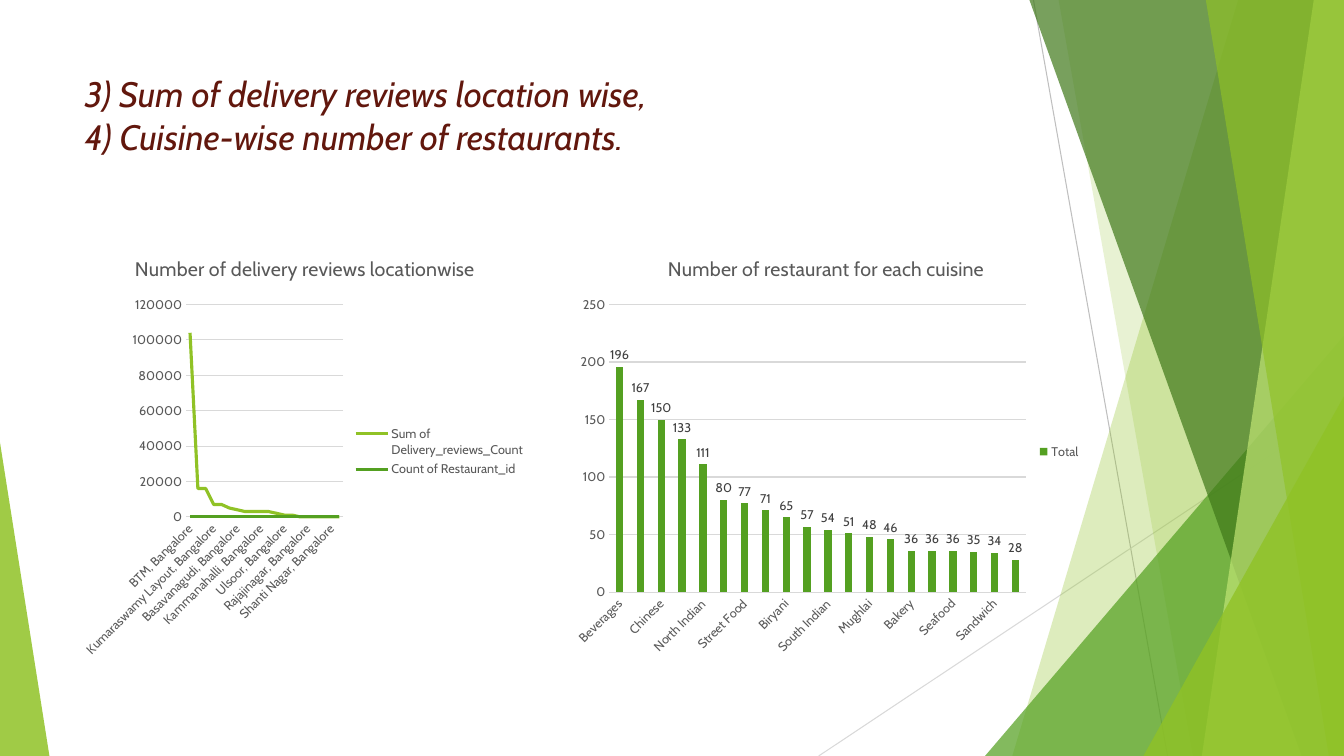
from dataclasses import dataclass

from lxml import etree
from pptx import Presentation
from pptx.chart.data import CategoryChartData
from pptx.dml.color import RGBColor
from pptx.enum.chart import XL_CHART_TYPE, XL_LABEL_POSITION, XL_LEGEND_POSITION, XL_TICK_MARK
from pptx.enum.shapes import MSO_CONNECTOR, MSO_SHAPE
from pptx.enum.text import MSO_ANCHOR, MSO_AUTO_SIZE, PP_ALIGN
from pptx.oxml import parse_xml
from pptx.oxml.ns import nsdecls, qn
from pptx.util import Inches, Pt

COLUMN, LINE = XL_CHART_TYPE.COLUMN_CLUSTERED, XL_CHART_TYPE.LINE
LABEL_ABOVE = XL_LABEL_POSITION.OUTSIDE_END
LEGEND_RIGHT = XL_LEGEND_POSITION.RIGHT
NO_TICKS = XL_TICK_MARK.NONE
STRAIGHT = MSO_CONNECTOR.STRAIGHT
TRIANGLE = MSO_SHAPE.ISOSCELES_TRIANGLE
TITLE_ONLY = 5


@dataclass(frozen=True)
class Theme:
    font: str = "Cabin"
    title: str = "62170D"
    text: str = "595959"
    label: str = "404040"
    grid: str = "D9D9D9"
    ray: str = "BFBFBF"
    lime: str = "90C226"
    green: str = "54A021"
    dark: str = "3F7819"
    pale: str = "C0E474"
    title_size: float = 25.2
    chart_title_size: float = 14
    chart_size: float = 9


THEME = Theme()
WIDTH, HEIGHT = 13.33, 7.5


def style_font(font, size, color):
    font.name = THEME.font
    font.size = Pt(size)
    font.bold = False
    font.color.rgb = RGBColor.from_string(color)


def paint(shape, color, opacity):
    """Give a shape a see-through fill without outline or shadow."""
    shape.shadow.inherit = False
    shape.line.fill.background()
    shape.fill.solid()
    shape.fill.fore_color.rgb = RGBColor.from_string(color)
    srgb = shape._element.spPr.find(".//" + qn("a:srgbClr"))
    etree.SubElement(srgb, qn("a:alpha")).set("val", str(opacity * 1000))


presentation = Presentation()
presentation.slide_width = Inches(WIDTH)
presentation.slide_height = Inches(HEIGHT)
slide = presentation.slides.add_slide(presentation.slide_layouts[TITLE_ONLY])
shapes = slide.shapes

# Thin rays behind the facets
rays = [(10.25, 0, 11.58, HEIGHT, THEME.ray), (WIDTH, 4.03, 8.12, HEIGHT, THEME.grid)]
for x1, y1, x2, y2, color in rays:
    ray = shapes.add_connector(STRAIGHT, Inches(x1), Inches(y1), Inches(x2), Inches(y2))
    ray.line.color.rgb = RGBColor.from_string(color)
    ray.line.width = Pt(0.75)
    etree.SubElement(ray._element.spPr, qn("a:effectLst"))

# Facets, back to front. A band has its left edge at top and bottom and runs to
# the right side; a triangle has left, top, width and peak, and stands on the bottom.
facets = [
    ("band", (12.28, 10.04), THEME.lime, 30),
    ("band", (10.5, 11.83), THEME.lime, 20),
    ("triangle", (9.77, 3.33, 3.56, 1), THEME.green, 72),
    ("band", (10.21, 12.91), THEME.dark, 70),
    ("band", (13.03, 11.92), THEME.pale, 70),
    ("band", (11.96, 13.18), THEME.lime, 65),
    ("triangle", (11.34, 3.93, 1.99, 1), THEME.lime, 80),
    ("triangle", (0, 4.39, 0.49, 0), THEME.lime, 85),
]
for kind, geometry, color, opacity in facets:
    if kind == "band":
        top_x, bottom_x = geometry
        builder = shapes.build_freeform(Inches(top_x), 0)
        corners = [(WIDTH, 0), (WIDTH, HEIGHT), (bottom_x, HEIGHT)]
        builder.add_line_segments([(Inches(x), Inches(y)) for x, y in corners])
        facet = builder.convert_to_shape()
    else:
        left, top, width, peak = geometry
        facet = shapes.add_shape(
            TRIANGLE, Inches(left), Inches(top), Inches(width), Inches(HEIGHT - top))
        facet.adjustments[0] = peak
    paint(facet, color, opacity)

# Title
title = shapes.title
title.left, title.top = Inches(0.74), Inches(0.67)
title.width, title.height = Inches(9.4), Inches(1.44)
frame = title.text_frame
frame.auto_size = MSO_AUTO_SIZE.NONE
frame.vertical_anchor = MSO_ANCHOR.TOP
paragraph = frame.paragraphs[0]
paragraph.alignment = PP_ALIGN.LEFT
title_lines = ["3) Sum of delivery reviews location wise,", "4) Cuisine-wise number of restaurants."]
for index, line in enumerate(title_lines):
    if index:
        paragraph.add_line_break()
    run = paragraph.add_run()
    run.text = line
    style_font(run.font, THEME.title_size, THEME.title)
    run.font.italic = True

# Charts
cuisines = [
    " Beverages", " Desserts", " Chinese", " Fast Food", " North Indian", "North Indian",
    " Street Food", " Shake", " Biryani", "South Indian", " South Indian", "Biryani",
    " Mughlai", " Sichuan", "Bakery", " Ice Cream", " Seafood", "Chinese", " Sandwich", " Rolls",
]
restaurants = [196, 167, 150, 133, 111, 80, 77, 71, 65, 57, 54, 51, 48, 46, 36, 36, 36, 35, 34, 28]
areas = [
    "BTM", "Nagawara", "Banashankari", "Kumaraswamy Layout", "Shivajinagar", "Vijay Nagar",
    "Basavanagudi", "Indiranagar", "Richmond Road", "Kammanahalli", "Ejipura",
    "Seshadripuram", "Ulsoor", "Vasanth Nagar", "Koramangala 5th Block", "Rajajinagar",
    "UB City", "Koramangala 8th Block", "Shanti Nagar", "Jatti Building, Koramangala 5th Block",
]
reviews = [104000, 16000, 16000, 7000, 7000, 5000, 4000, 3000, 3000, 3000, 3000,
           2000, 1000, 1000, 0, 0, 0, 0, 0, 0]
# kind, title, left, width, plot area as shares of the chart, axis maximum and step,
# categories, series
charts = [
    (COLUMN, "Number of restaurant for each cuisine", 5.57, 5.25,
     (0.09, 0.156, 0.787, 0.673), 250, 50, cuisines, [("Total", restaurants, THEME.green)]),
    (LINE, "Number of delivery reviews locationwise", 0.74, 4.57,
     (0.242, 0.156, 0.341, 0.497), 120000, 20000, [f"{area}, Bangalore" for area in areas],
     [("Sum of Delivery_reviews_Count", reviews, THEME.lime),
      ("Count of Restaurant_id", [0] * len(areas), THEME.green)]),
]
for kind, heading, left, width, plot_area, maximum, step, categories, series_rows in charts:
    data = CategoryChartData()
    data.categories = categories
    for name, values, _ in series_rows:
        data.add_series(name, values)
    chart = shapes.add_chart(
        kind, Inches(left), Inches(2.36), Inches(width), Inches(4.24), data).chart
    style_font(chart.font, THEME.chart_size, THEME.text)

    chart.has_title = True
    run = chart.chart_title.text_frame.paragraphs[0].add_run()
    run.text = heading
    style_font(run.font, THEME.chart_title_size, THEME.text)
    chart.chart_title.include_in_layout = False

    chart.has_legend = True
    chart.legend.position = LEGEND_RIGHT
    chart.legend.include_in_layout = False
    style_font(chart.legend.font, THEME.chart_size, THEME.text)

    for axis in (chart.category_axis, chart.value_axis):
        axis.major_tick_mark = axis.minor_tick_mark = NO_TICKS
        style_font(axis.tick_labels.font, THEME.chart_size, THEME.text)
    chart.category_axis._element.txPr.bodyPr.set("rot", "-2700000")
    chart.value_axis.minimum_scale = 0
    chart.value_axis.maximum_scale = maximum
    chart.value_axis.major_unit = step
    chart.value_axis.format.line.fill.background()
    for line in (chart.category_axis.format.line, chart.value_axis.major_gridlines.format.line):
        line.color.rgb = RGBColor.from_string(THEME.grid)
        line.width = Pt(0.75)

    plot = chart.plots[0]
    plot.vary_by_categories = False
    for series, (_, _, color) in zip(plot.series, series_rows):
        if kind == LINE:
            series.smooth = False
            series.format.line.color.rgb = RGBColor.from_string(color)
            series.format.line.width = Pt(2.25)
        else:
            series.format.fill.solid()
            series.format.fill.fore_color.rgb = RGBColor.from_string(color)
    if kind == COLUMN:
        plot.gap_width = 182
        plot.has_data_labels = True
        plot.data_labels.show_value = True
        plot.data_labels.position = LABEL_ABOVE
        style_font(plot.data_labels.font, THEME.chart_size, THEME.label)

    plot_element = chart._chartSpace.chart.plotArea
    for layout in plot_element.findall(qn("c:layout")):
        plot_element.remove(layout)
    shares = "".join(f'<c:{tag} val="{share}"/>' for tag, share in zip("xywh", plot_area))
    plot_element.insert(0, parse_xml(
        f'<c:layout {nsdecls("c")}><c:manualLayout><c:layoutTarget val="inner"/>'
        f'<c:xMode val="edge"/><c:yMode val="edge"/>{shares}</c:manualLayout></c:layout>'))

presentation.save("out.pptx")
